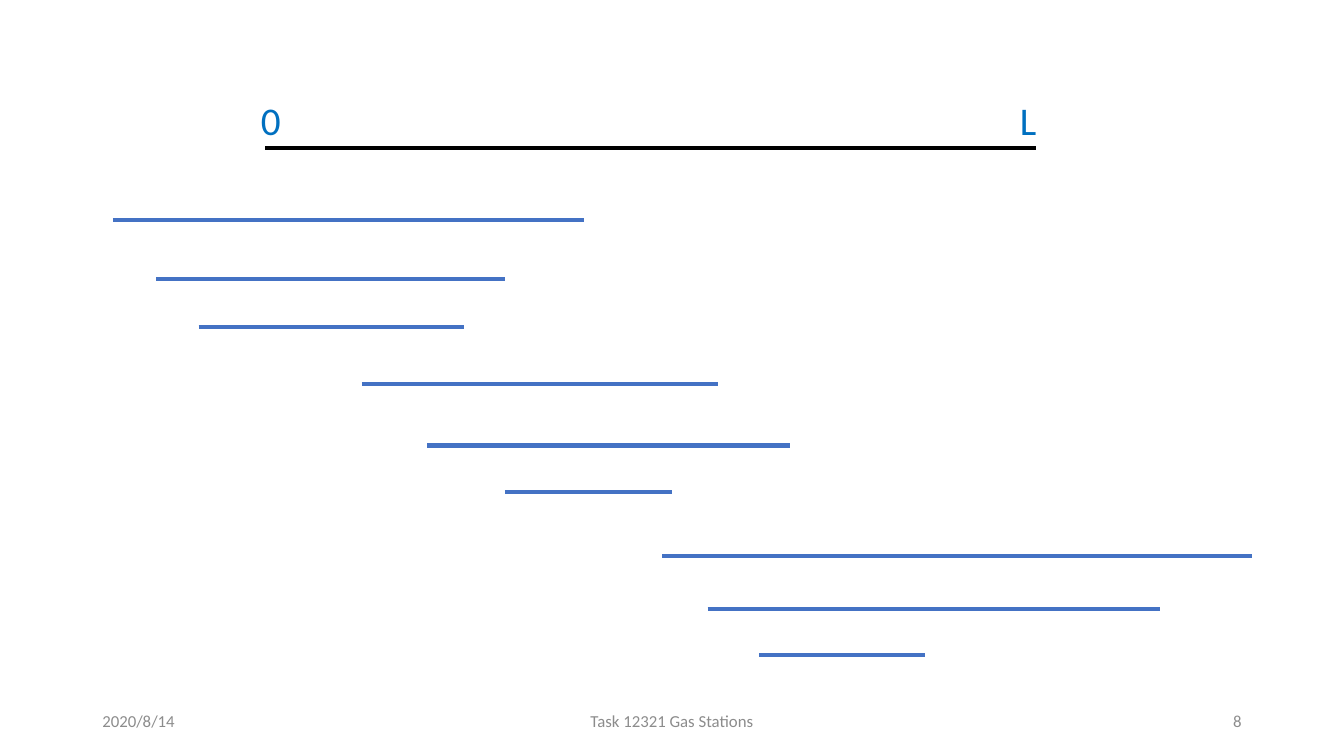
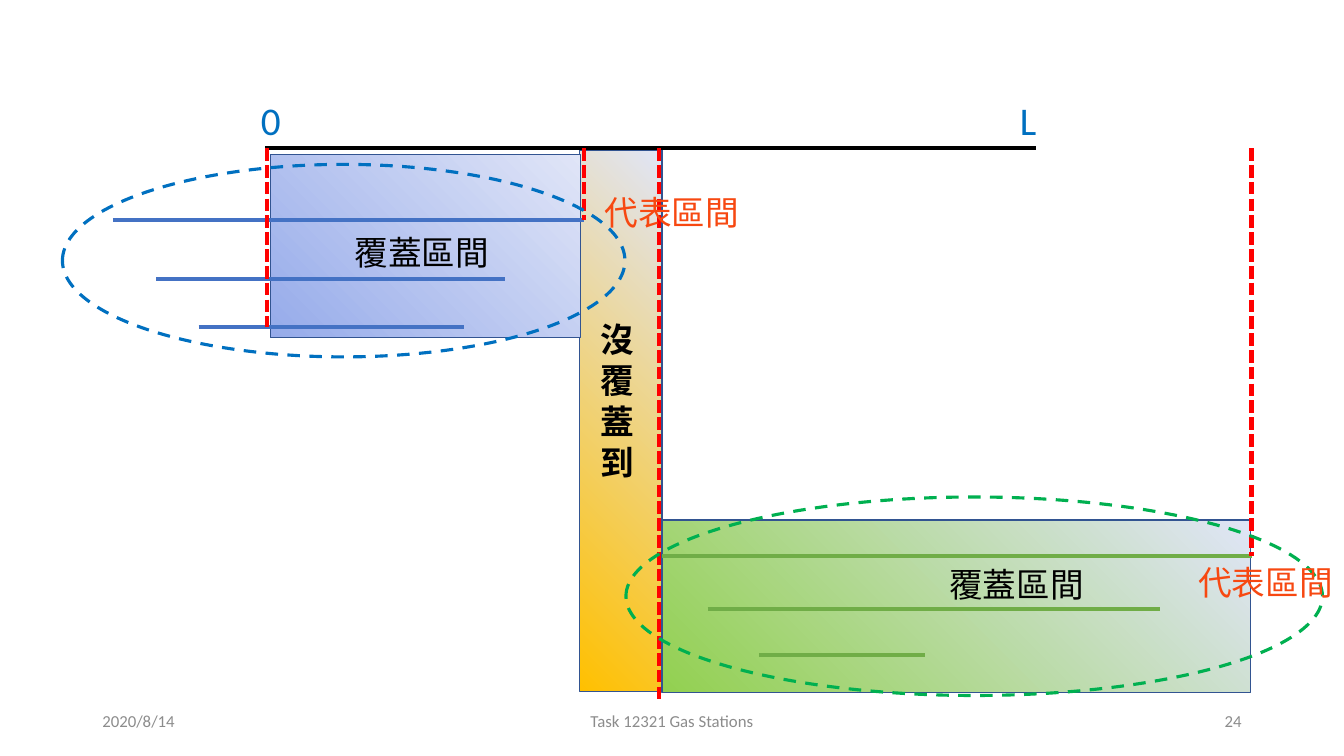
"""Two slides on covering a road from 0 to L with gas station intervals."""
from lxml import etree
from pptx import Presentation
from pptx.dml.color import RGBColor
from pptx.enum import dml, shapes, text
from pptx.oxml.ns import qn
from pptx.util import Pt

BLACK = RGBColor(0x00, 0x00, 0x00)
GRAY = RGBColor(0x8C, 0x8C, 0x8C)
BLUE = RGBColor(0x44, 0x72, 0xC4)
GREEN = RGBColor(0x70, 0xAD, 0x47)
RED = RGBColor(0xFF, 0x00, 0x00)
ORANGE = RGBColor(0xF7, 0x48, 0x11)
LABEL_BLUE = RGBColor(0x00, 0x70, 0xC0)
OVAL_GREEN = RGBColor(0x00, 0xB0, 0x50)
BORDER = RGBColor(0x32, 0x54, 0x91)
AMBER = RGBColor(0xFF, 0xC0, 0x00)
LIME = RGBColor(0x92, 0xD0, 0x50)
PERIWINKLE = RGBColor(0x96, 0xAB, 0xEA)
PALE = RGBColor(0xE0, 0xE5, 0xF7)
LATIN, CJK = "Calibri", "Noto Sans CJK SC"
AXIS_Y = 105.8


def add_text(s, words, box, size=24, color=BLACK, font=CJK, bold=False,
             align=text.PP_ALIGN.LEFT, anchor=text.MSO_ANCHOR.TOP):
    tf = s.shapes.add_textbox(*map(Pt, box)).text_frame
    tf.word_wrap = True
    tf.vertical_anchor = anchor
    p = tf.paragraphs[0]
    p.alignment = align
    r = p.add_run()
    r.text = words
    r.font.size = Pt(size)
    r.font.bold = bold
    r.font.name = font
    r.font.color.rgb = color
    if font == CJK:
        p.line_spacing = Pt(29.3)
        etree.SubElement(r.font._element, qn("a:ea"), typeface=font)


def add_line(s, x1, y1, x2, y2, color, dash=None):
    line = s.shapes.add_connector(shapes.MSO_CONNECTOR.STRAIGHT, *map(Pt, (x1, y1, x2, y2)))
    line.line.color.rgb = color
    line.line.width = Pt(3)
    if dash:
        line.line.dash_style = dash
    etree.SubElement(line._element.spPr, qn("a:effectLst"))


prs = Presentation()
prs.slide_width, prs.slide_height = Pt(960), Pt(540)
overview, groups = [prs.slides.add_slide(prs.slide_layouts[6]) for _ in range(2)]

first = [(80.6, 416.9, 157), (111.6, 360.7, 199.5), (141.8, 331.2, 233.3)]
middle = [(258.5, 512.6, 274.3), (305.3, 564.5, 318.2), (360.7, 480.2, 351.4)]
last = [(473, 894.2, 397.4), (505.4, 828.7, 434.9), (542.2, 661, 468)]

panels = [
    ((414, 107.3, 59, 386.6), AMBER),
    ((473, 371.5, 420.5, 123.1), LIME),
    ((193, 110.2, 221.8, 131), PERIWINKLE),
]
for box, color in panels:
    sp = groups.shapes.add_shape(shapes.MSO_SHAPE.RECTANGLE, *map(Pt, box))
    sp.shadow.inherit = False
    sp.fill.gradient()
    sp.fill.gradient_angle = 45
    for stop, stop_color, position in zip(sp.fill.gradient_stops, (color, PALE), (0, 1)):
        stop.color.rgb = stop_color
        stop.position = position
    sp.line.color.rgb = BORDER
    sp.line.width = Pt(1)

for s, number, intervals in [
    (overview, "8", [(BLUE, first + middle + last)]),
    (groups, "24", [(BLUE, first), (GREEN, last)]),
]:
    for words, left, width, align in [
        ("2020/8/14", 66, 216, text.PP_ALIGN.LEFT),
        ("Task 12321 Gas Stations", 318, 324, text.PP_ALIGN.CENTER),
        (number, 678, 216, text.PP_ALIGN.RIGHT),
    ]:
        add_text(s, words, (left, 500.4, width, 28.8), size=12, color=GRAY, font=LATIN,
                 align=align, anchor=text.MSO_ANCHOR.MIDDLE)
    add_line(s, 189.4, AXIS_Y, 740.2, AXIS_Y, BLACK)
    for color, spans in intervals:
        for x1, x2, y in spans:
            add_line(s, x1, y, x2, y, color)
    for words, left in [("0", 179.3), ("L", 721.4)]:
        add_text(s, words, (left, 65.5, 31, 41), size=28, color=LABEL_BLUE, font=LATIN)

for x, bottom in [(190.8, 233.3), (416.9, 157), (470.9, 500.4), (893.9, 397.4)]:
    add_line(groups, x, AXIS_Y, x, bottom, RED, dml.MSO_LINE.SQUARE_DOT)

for box, color in [
    ((44.6, 117.4, 401.8, 137.5), LABEL_BLUE),
    ((447.1, 355, 497.5, 141.8), OVAL_GREEN),
]:
    sp = groups.shapes.add_shape(shapes.MSO_SHAPE.OVAL, *map(Pt, box))
    sp.shadow.inherit = False
    sp.fill.background()
    sp.line.color.rgb = color
    sp.line.width = Pt(2.25)
    sp.line.dash_style = dml.MSO_LINE.DASH

add_text(groups, "沒覆蓋到", (421.9, 223.9, 43.2, 123.8), bold=True)
for words, left, top, color in [
    ("代表區間", 424.8, 133.2, ORANGE),
    ("代表區間", 848.9, 397.4, ORANGE),
    ("覆蓋區間", 671, 398.9, BLACK),
    ("覆蓋區間", 246.2, 161.3, BLACK),
]:
    add_text(groups, words, (left, top, 120, 36), color=color)

prs.save("out.pptx")
